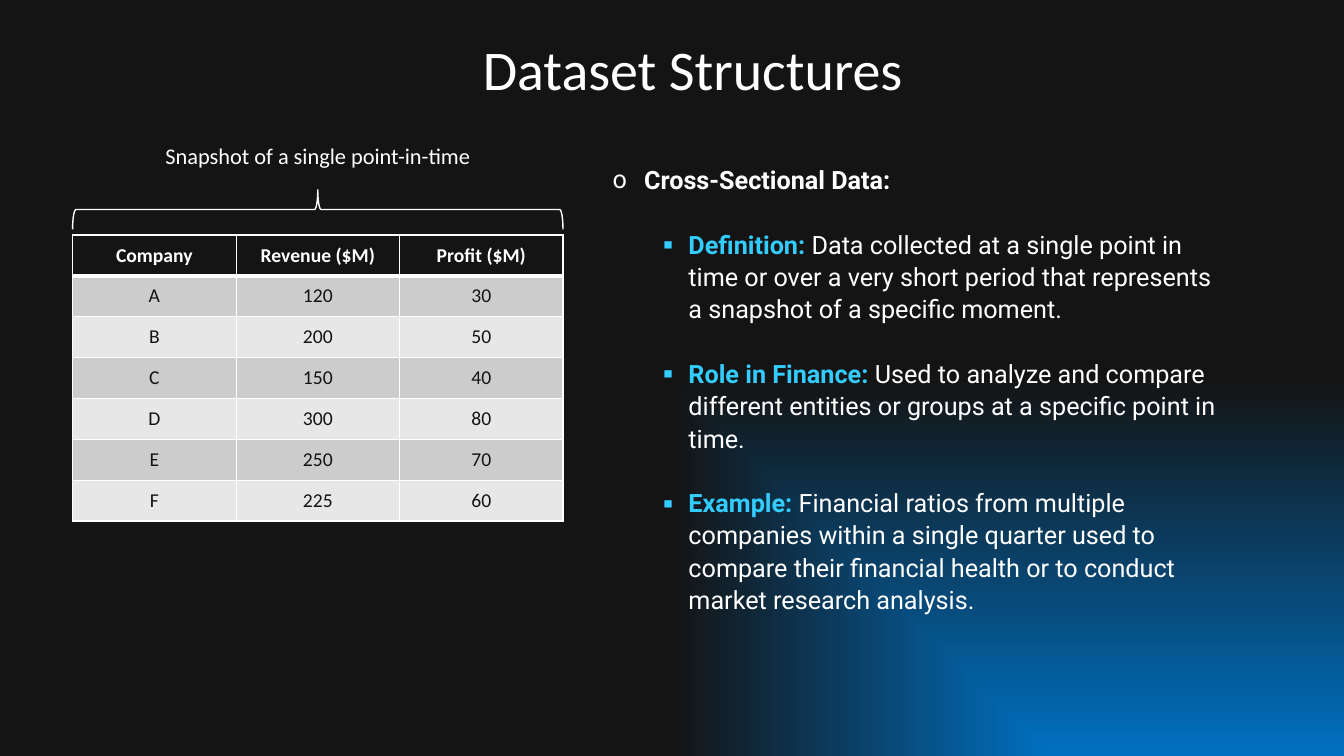
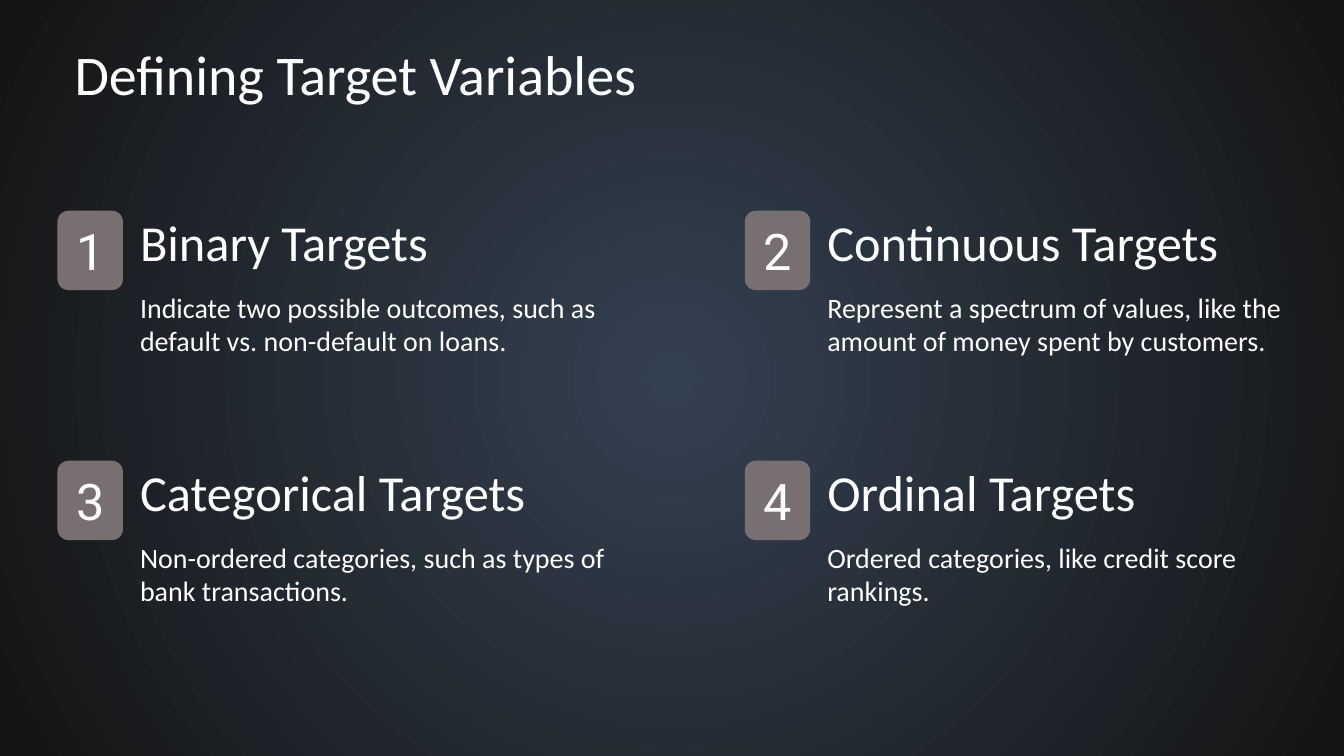
from dataclasses import dataclass

from pptx import Presentation
from pptx.dml.color import RGBColor
from pptx.enum.shapes import MSO_SHAPE
from pptx.enum.text import MSO_ANCHOR, MSO_AUTO_SIZE, PP_ALIGN
from pptx.oxml import parse_xml
from pptx.oxml.ns import nsdecls
from pptx.util import Cm, Pt

COLORS = {
    "night": "141414",
    "blue": "0070C0",
    "slate": "344152",
    "white": "FFFFFF",
    "cyan": "33CCFF",
    "badge": "787070",
    "row_dark": "CCCCCC",
    "row_light": "E7E7E7",
}
HEADING_FONT = "Calibri"
BODY_FONT = "Roboto"
TITLE_ONLY, TITLE_AND_CONTENT = 5, 1

COMPANY_ROWS = [
    ("Company", "Revenue ($M)", "Profit ($M)"),
    ("A", "120", "30"),
    ("B", "200", "50"),
    ("C", "150", "40"),
    ("D", "300", "80"),
    ("E", "250", "70"),
    ("F", "225", "60"),
]
CROSS_SECTIONAL_POINTS = [
    ("Definition: ", "Data collected at a single point in time or over a very short "
     "period that represents a snapshot of a specific moment."),
    ("Role in Finance: ", "Used to analyze and compare different entities or groups "
     "at a specific point in time."),
    ("Example: ", "Financial ratios from multiple companies within a single quarter "
     "used to compare their financial health or to conduct market research analysis."),
]
TARGETS = [
    ("Binary Targets",
     "Indicate two possible outcomes, such as default vs. non-default on loans."),
    ("Continuous Targets",
     "Represent a spectrum of values, like the amount of money spent by customers."),
    ("Categorical Targets",
     "Non-ordered categories, such as types of bank transactions."),
    ("Ordinal Targets", "Ordered categories, like credit score rankings."),
]


@dataclass
class Box:
    """A rectangle measured in centimetres."""
    left: float
    top: float
    width: float
    height: float

    def inner(self, left, top, width, height):
        return Box(self.left + left, self.top + top, width, height)

    def lengths(self):
        return Cm(self.left), Cm(self.top), Cm(self.width), Cm(self.height)


def color(name):
    return RGBColor.from_string(COLORS[name])


def style_run(run, size, font=HEADING_FONT, fill="white", bold=False):
    run.font.size = Pt(size)
    run.font.name = font
    run.font.bold = bold
    run.font.color.rgb = color(fill)


def prepare_frame(text_frame):
    text_frame.word_wrap = True
    text_frame.auto_size = MSO_AUTO_SIZE.NONE
    text_frame.vertical_anchor = MSO_ANCHOR.TOP
    text_frame.margin_left = text_frame.margin_right = 0
    text_frame.margin_top = text_frame.margin_bottom = 0


def write_line(text_frame, text, size, align=PP_ALIGN.LEFT, **run_style):
    text_frame.text = text
    paragraph = text_frame.paragraphs[0]
    paragraph.alignment = align
    style_run(paragraph.runs[0], size, **run_style)


def add_label(slide, box, text, size, align=PP_ALIGN.LEFT):
    label = slide.shapes.add_textbox(*box.lengths())
    prepare_frame(label.text_frame)
    write_line(label.text_frame, text, size, align)


def place_placeholder(placeholder, box):
    placeholder.left, placeholder.top, placeholder.width, placeholder.height = box.lengths()
    prepare_frame(placeholder.text_frame)


def set_title(slide, box, text, align=PP_ALIGN.LEFT):
    place_placeholder(slide.shapes.title, box)
    write_line(slide.shapes.title.text_frame, text, 40, align)


def set_background(slide, kind, center, focus):
    """Fill the background from a center colour; focus gives its inset rectangle in percent."""
    edges = " ".join(f'{side}="{inset * 1000}"' for side, inset in zip("ltrb", focus))
    stops = "".join(
        f'<a:gs pos="{position}"><a:srgbClr val="{COLORS[name]}"/></a:gs>'
        for position, name in ((0, center), (100000, "night")))
    slide.element.cSld.insert(0, parse_xml(
        f'<p:bg {nsdecls("p", "a")}><p:bgPr><a:gradFill rotWithShape="1">'
        f'<a:gsLst>{stops}</a:gsLst>'
        f'<a:path path="{kind}"><a:fillToRect {edges}/></a:path>'
        f'</a:gradFill><a:effectLst/></p:bgPr></p:bg>'))


def set_bullet(paragraph, character, left, hanging):
    properties = paragraph._p.get_or_add_pPr()
    properties.set("marL", str(Cm(left)))
    properties.set("indent", str(-Cm(hanging)))
    properties.append(parse_xml(f'<a:buFont {nsdecls("a")} typeface="{BODY_FONT}"/>'))
    properties.append(parse_xml(f'<a:buChar {nsdecls("a")} char="{character}"/>'))


def fill_body(slide, box, heading, points):
    body = slide.placeholders[1]
    place_placeholder(body, box)
    text_frame = body.text_frame
    text_frame.text = heading
    first = text_frame.paragraphs[0]
    set_bullet(first, "o", 2.06, 0.79)
    first.space_before = Pt(0)
    first.line_spacing = 1.07
    style_run(first.runs[0], 18, BODY_FONT, bold=True)
    for lead, explanation in points:
        paragraph = text_frame.add_paragraph()
        paragraph.level = 1
        set_bullet(paragraph, "▪", 3.18, 0.64)
        paragraph.space_before = Pt(23)
        paragraph.line_spacing = 1.07
        for text, fill, bold in ((lead, "cyan", True), (explanation, "white", False)):
            run = paragraph.add_run()
            run.text = text
            style_run(run, 18, BODY_FONT, fill, bold)


def set_borders(cell, top, bottom):
    properties = cell._tc.get_or_add_tcPr()
    for side, width in (("L", 1), ("R", 1), ("T", top), ("B", bottom)):
        properties.append(parse_xml(
            f'<a:ln{side} {nsdecls("a")} w="{Pt(width)}"><a:solidFill>'
            f'<a:srgbClr val="{COLORS["white"]}"/></a:solidFill></a:ln{side}>'))


def add_company_table(slide, box, rows):
    table = slide.shapes.add_table(len(rows), len(rows[0]), *box.lengths()).table
    for row in table.rows:
        row.height = Cm(box.height / len(rows))
    for row_index, values in enumerate(rows):
        header = row_index == 0
        banding = "row_dark" if row_index % 2 else "row_light"
        for column_index, value in enumerate(values):
            cell = table.cell(row_index, column_index)
            set_borders(cell, 3 if row_index == 1 else 1, 3 if header else 1)
            cell.fill.solid()
            cell.fill.fore_color.rgb = color("night" if header else banding)
            cell.vertical_anchor = MSO_ANCHOR.MIDDLE
            write_line(cell.text_frame, value, 14, PP_ALIGN.CENTER,
                       fill="white" if header else "night", bold=header)


def add_top_brace(slide, box):
    """Turn a right brace upwards so that it spans the box."""
    left = box.left + (box.width - box.height) / 2
    top = box.top + (box.height - box.width) / 2
    upright = Box(left, top, box.height, box.width)
    brace = slide.shapes.add_shape(MSO_SHAPE.RIGHT_BRACE, *upright.lengths())
    brace.rotation = 270
    brace.shadow.inherit = False
    brace.fill.background()
    brace.line.color.rgb = color("white")
    brace.line.width = Pt(1)


def add_snapshot_panel(slide, box):
    add_label(slide, box.inner(0, 0, box.width, 1),
              "Snapshot of a single point-in-time", 16, PP_ALIGN.CENTER)
    add_top_brace(slide, box.inner(0, 1.2, box.width, 1))
    add_company_table(slide, box.inner(0, 2.34, box.width, box.height - 2.34), COMPANY_ROWS)


def add_target_card(slide, box, number, heading, description):
    badge = slide.shapes.add_shape(
        MSO_SHAPE.ROUNDED_RECTANGLE, *box.inner(0, 0, 1.65, 2).lengths())
    badge.shadow.inherit = False
    badge.fill.solid()
    badge.fill.fore_color.rgb = color("badge")
    badge.line.fill.background()
    badge.text_frame.vertical_anchor = MSO_ANCHOR.MIDDLE
    write_line(badge.text_frame, str(number), 36, PP_ALIGN.CENTER, font=BODY_FONT)
    text_left = 2.08
    text_width = box.width - text_left
    add_label(slide, box.inner(text_left, 0, text_width, 2), heading, 36)
    add_label(slide, box.inner(text_left, 2, text_width, box.height - 2), description, 20)


def add_dataset_slide(presentation):
    slide = presentation.slides.add_slide(presentation.slide_layouts[TITLE_AND_CONTENT])
    set_background(slide, "rect", "blue", (100, 100, 0, 0))
    set_title(slide, Box(11.73, 0.86, 11.02, 2), "Dataset Structures", PP_ALIGN.RIGHT)
    add_snapshot_panel(slide, Box(1.83, 3.58, 12.36, 9.55))
    fill_body(slide, Box(14.17, 4.09, 16.69, 14.12),
              "Cross-Sectional Data:", CROSS_SECTIONAL_POINTS)


def add_targets_slide(presentation):
    slide = presentation.slides.add_slide(presentation.slide_layouts[TITLE_ONLY])
    set_background(slide, "circle", "slate", (50, 50, 50, 50))
    set_title(slide, Box(1.88, 1, 15.98, 2), "Defining Target Variables")
    grid = Box(1.45, 5.31, 31.41, 11.76)
    column_pitch, row_pitch = 17.32, 6.3
    for index, (heading, description) in enumerate(TARGETS):
        row, column = divmod(index, 2)
        card = grid.inner(column * column_pitch, row * row_pitch,
                          grid.width - column_pitch, grid.height - row_pitch)
        add_target_card(slide, card, index + 1, heading, description)


def main():
    presentation = Presentation()
    presentation.slide_width, presentation.slide_height = Cm(33.87), Cm(19.05)
    add_dataset_slide(presentation)
    add_targets_slide(presentation)
    presentation.save("out.pptx")


if __name__ == "__main__":
    main()
